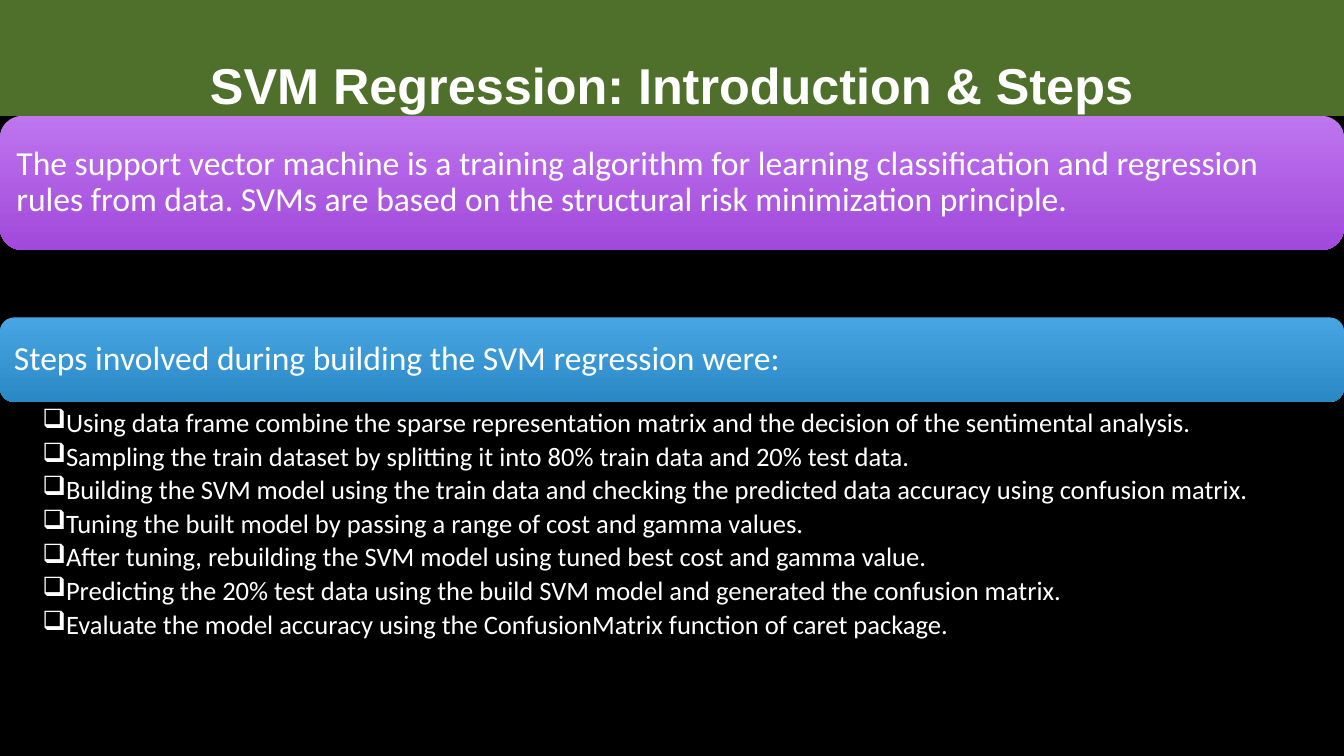
import pptx
import pptx.dml.color
import pptx.enum.dml
import pptx.enum.shapes
import pptx.enum.text
import pptx.oxml
import pptx.oxml.ns
import pptx.util
from lxml import etree

Cm = pptx.util.Cm
Pt = pptx.util.Pt
RGBColor = pptx.dml.color.RGBColor
SHAPES = pptx.enum.shapes.MSO_SHAPE
ANCHOR = pptx.enum.text.MSO_ANCHOR
ALIGN = pptx.enum.text.PP_ALIGN
qn = pptx.oxml.ns.qn

BLACK = RGBColor(0x00, 0x00, 0x00)
WHITE = RGBColor(0xFF, 0xFF, 0xFF)
GREEN = RGBColor(0x92, 0xD0, 0x50)
PURPLES = RGBColor(0xBE, 0x75, 0xEE), RGBColor(0xA1, 0x49, 0xDB)
BLUES = RGBColor(0x48, 0xA5, 0xE3), RGBColor(0x29, 0x89, 0xC5)

WIDTH = Cm(33.87)
HEIGHT = Cm(19.05)

TITLE_FONT = {"name": "Arial", "size": Pt(36), "bold": True}
BANNER_FONT = {"name": "Calibri", "size": Pt(24)}
STEP_FONT = {"name": "Calibri", "size": Pt(19)}

TITLE = "SVM Regression: Introduction & Steps"
INTRODUCTION = (
    "The support vector machine is a training algorithm for learning "
    "classification and regression rules from data. SVMs are based on the "
    "structural risk minimization principle."
)
STEPS_HEADING = "Steps involved during building the SVM regression were:"
STEPS = [
    "Using data frame combine the sparse representation matrix and the decision of the sentimental analysis.",
    "Sampling the train dataset by splitting it into 80% train data and 20% test data.",
    "Building the SVM model using the train data and checking the predicted data accuracy using confusion matrix.",
    "Tuning the built model by passing a range of cost and gamma values.",
    "After tuning, rebuilding the SVM model using tuned best cost and gamma value.",
    "Predicting the 20% test data using the build SVM model and generated the confusion matrix.",
    "Evaluate the model accuracy using the ConfusionMatrix function of caret package.",
]


def apply_format(target, values):
    """Set each named attribute of the target."""
    for name, value in values.items():
        setattr(target, name, value)


def set_frame(frame, anchor, left, top, right, bottom):
    """Wrap a text frame and set its anchor and margins."""
    apply_format(frame, {
        "word_wrap": True, "vertical_anchor": anchor,
        "margin_left": left, "margin_top": top,
        "margin_right": right, "margin_bottom": bottom,
    })


def write_paragraph(paragraph, text, font, **layout):
    """Fill a paragraph with white text in the given font and layout."""
    run = paragraph.add_run()
    run.text = text
    apply_format(run.font, font)
    run.font.color.rgb = WHITE
    apply_format(paragraph, {"line_spacing": 0.9, **layout})


def add_panel(slide, kind, box):
    """Add a preset shape without outline or shadow."""
    panel = slide.shapes.add_shape(kind, *box)
    panel.shadow.inherit = False
    panel.line.fill.background()
    return panel


def add_title(slide, box):
    """Add the translucent green title band."""
    band = add_panel(slide, SHAPES.RECTANGLE, box)
    band.fill.solid()
    band.fill.fore_color.rgb = GREEN
    color = band.fill._xPr.find(qn("a:solidFill")).find(qn("a:srgbClr"))
    etree.SubElement(color, qn("a:alpha"), val="54000")
    set_frame(band.text_frame, ANCHOR.BOTTOM, 0, 0, 0, 0)
    write_paragraph(band.text_frame.paragraphs[0], TITLE, TITLE_FONT, alignment=ALIGN.CENTER)


def add_banner(slide, box, text, colors):
    """Add a rounded banner with a vertical gradient and its text."""
    banner = add_panel(slide, SHAPES.ROUNDED_RECTANGLE, box)
    banner.fill.gradient()
    banner.fill.gradient_angle = 270
    for position, (stop, color) in enumerate(zip(banner.fill.gradient_stops, colors)):
        stop.position = position
        stop.color.rgb = color
    set_frame(banner.text_frame, ANCHOR.MIDDLE, *[Cm(0.25)] * 4)
    write_paragraph(banner.text_frame.paragraphs[0], text, BANNER_FONT, alignment=ALIGN.LEFT)


def add_steps(slide, box):
    """Add the bulleted list of steps."""
    frame = slide.shapes.add_textbox(*box).text_frame
    set_frame(frame, ANCHOR.TOP, Cm(1.07), Cm(0.08), Cm(0.38), Cm(0.08))
    for index, step in enumerate(STEPS):
        paragraph = frame.add_paragraph() if index else frame.paragraphs[0]
        write_paragraph(paragraph, step, STEP_FONT, level=1, space_after=Pt(3.5))
        properties = paragraph._p.get_or_add_pPr()
        properties.set("marL", str(Cm(0.48)))
        properties.set("indent", str(-Cm(0.48)))
        etree.SubElement(properties, qn("a:buChar"), char="❑")


def main():
    """Build and save the slide."""
    deck = pptx.Presentation()
    apply_format(deck, {"slide_width": WIDTH, "slide_height": HEIGHT})
    slide = deck.slides.add_slide(deck.slide_layouts[6])
    slide.background.fill.solid()
    slide.background.fill.fore_color.rgb = BLACK
    add_banner(slide, (0, Cm(2.92), WIDTH, Cm(3.38)), INTRODUCTION, PURPLES)
    add_banner(slide, (0, Cm(8), WIDTH, Cm(2.13)), STEPS_HEADING, BLUES)
    add_steps(slide, (0, Cm(10.24), WIDTH, Cm(8.03)))
    add_title(slide, (0, 0, WIDTH, Cm(2.92)))
    deck.save("out.pptx")


if __name__ == "__main__":
    main()
